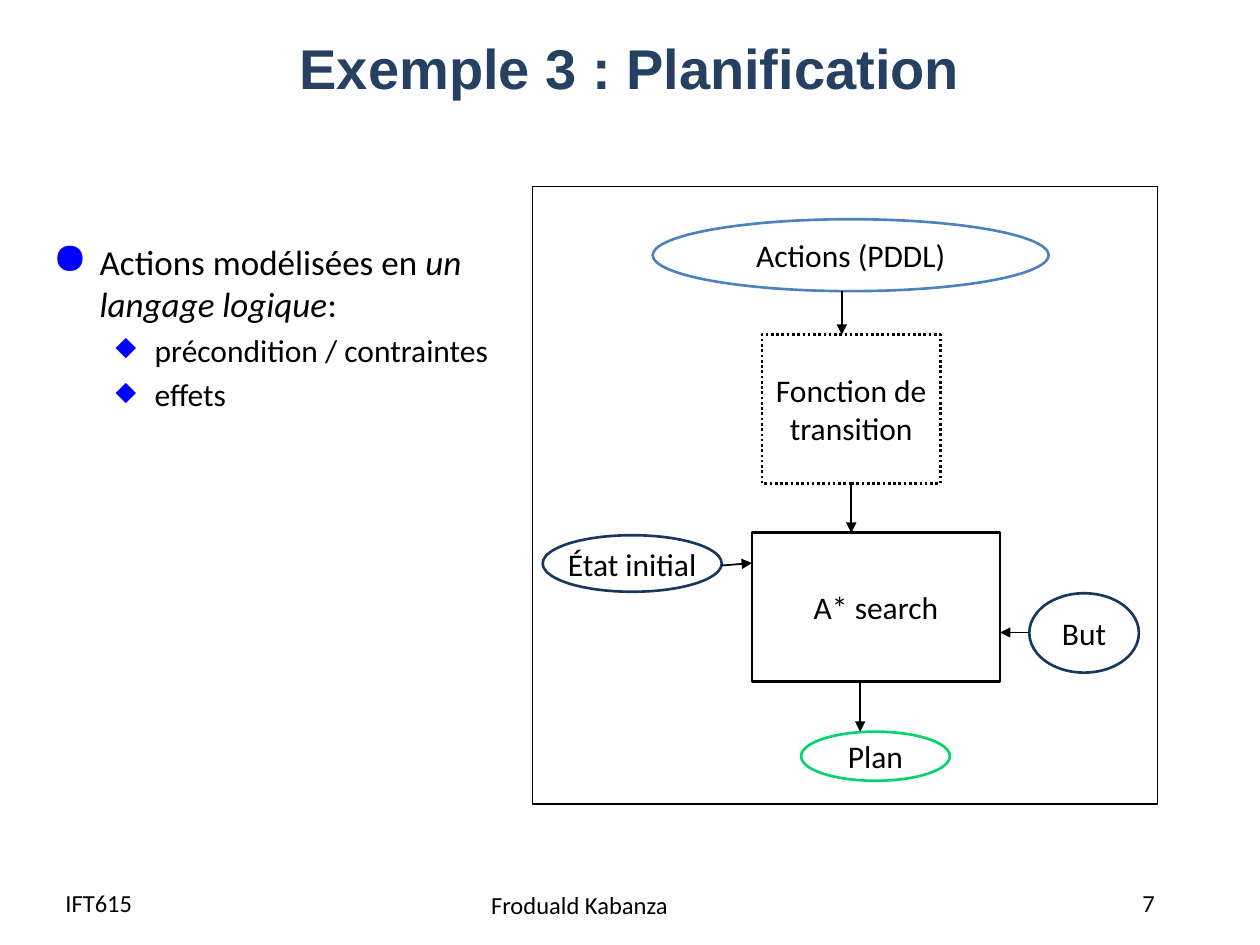
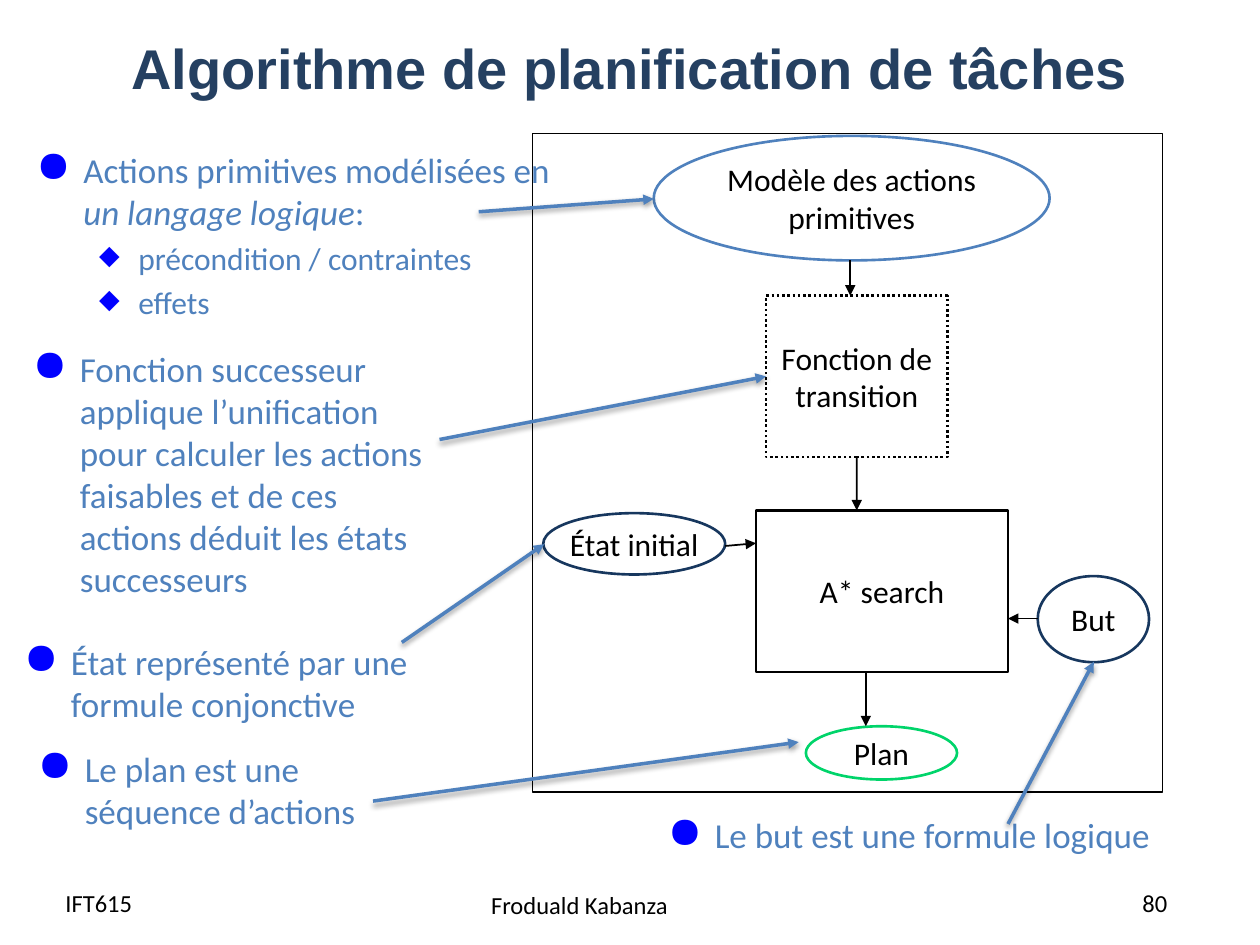
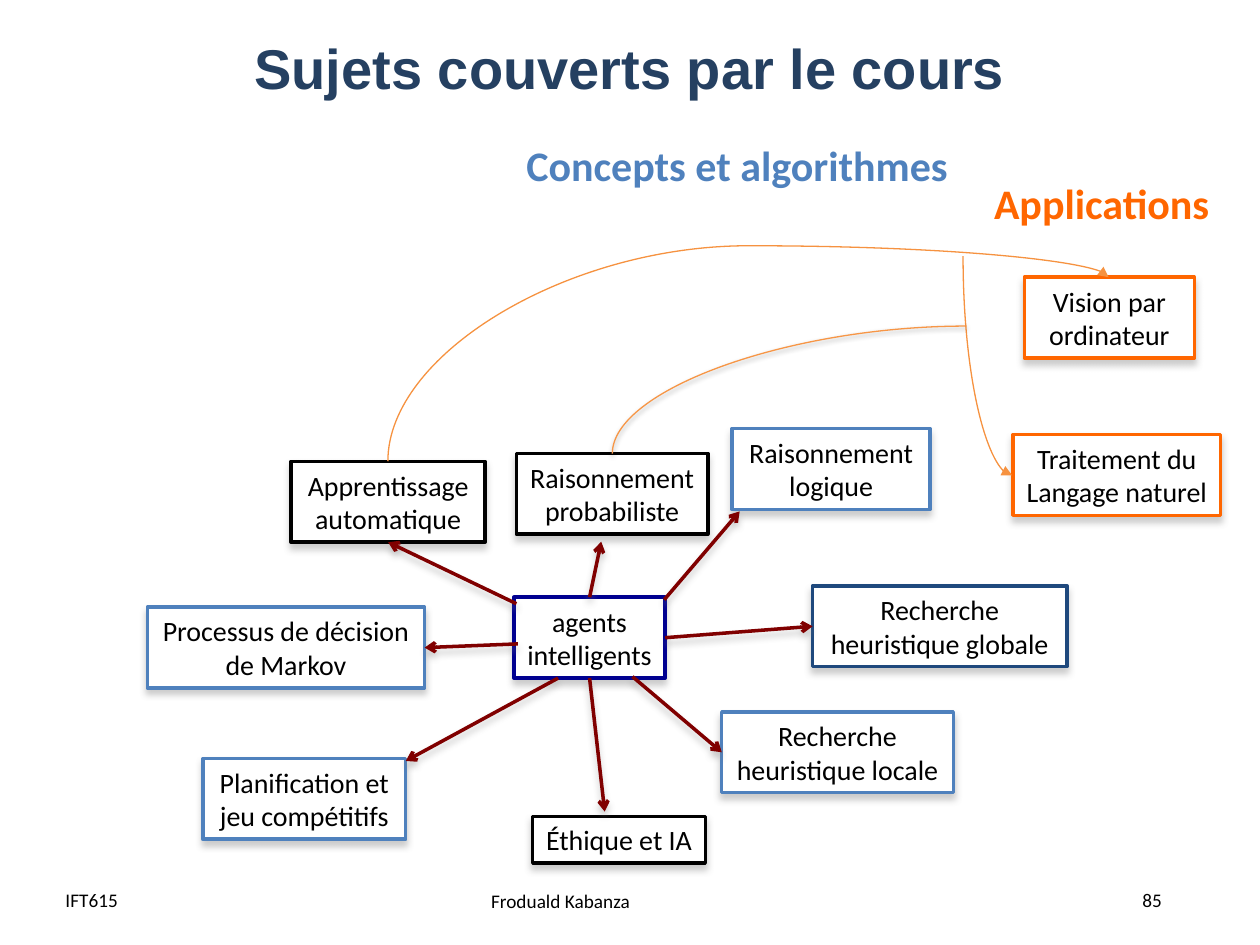
from pptx import Presentation
from pptx.dml.color import RGBColor
from pptx.enum.dml import MSO_LINE
from pptx.enum.shapes import MSO_CONNECTOR, MSO_SHAPE
from pptx.enum.text import MSO_ANCHOR, PP_ALIGN
from pptx.oxml import parse_xml
from pptx.oxml.ns import nsdecls, qn
from pptx.util import Cm, Pt

BLACK, WHITE = "000000", "FFFFFF"
NAVY, BLUE, DARK_BLUE = "254061", "4F81BD", "17375E"
GREEN, MAROON, ORANGE = "00D46A", "800000", "FF6600"
BULLET_BLUE = "0000FF"
# colour, opacity %, blur pt, distance pt
SOFT_SHADOW = (BLACK, 38, 3.1, 1.6)
GREY_SHADOW = ("808080", 40, 4, 3)
rgb = RGBColor.from_string


def write(sp, text, size, color=BLACK, font="Calibri", bold=False, centered=False, wrap=True):
    """Fill a shape: a newline starts a paragraph, underscores enclose italics."""
    tf = sp.text_frame
    tf.word_wrap = wrap
    if centered:
        tf.vertical_anchor = MSO_ANCHOR.MIDDLE
        tf.margin_left = tf.margin_right = Cm(0.15)
        tf.margin_top = tf.margin_bottom = 0
    for i, line in enumerate(text.split("\n")):
        p = tf.add_paragraph() if i else tf.paragraphs[0]
        p.alignment = PP_ALIGN.CENTER if centered else PP_ALIGN.LEFT
        for j, part in enumerate(line.split("_")):
            r = p.add_run()
            r.text = part
            r.font.name = font
            r.font.size = Pt(size)
            r.font.bold = bold
            r.font.italic = j % 2 == 1
            r.font.color.rgb = rgb(color)


def outline(sp, color, width, shadow=None, arrow=None):
    """Set the line, arrowhead and shadow of a shape or connector."""
    sp.line.color.rgb = rgb(color)
    sp.line.width = Pt(width)
    spPr = sp._element.spPr
    if arrow:
        spPr.find(qn("a:ln")).append(parse_xml(f'<a:tailEnd {nsdecls("a")} type="{arrow}"/>'))
    effect = ""
    if shadow:
        tint, opacity, blur, distance = shadow
        effect = (f'<a:outerShdw blurRad="{Pt(blur)}" dist="{Pt(distance)}" dir="5400000" rotWithShape="0">'
                  f'<a:srgbClr val="{tint}"><a:alpha val="{opacity * 1000}"/></a:srgbClr></a:outerShdw>')
    spPr.append(parse_xml(f'<a:effectLst {nsdecls("a")}>{effect}</a:effectLst>'))


prs = Presentation()
prs.slide_width, prs.slide_height = Cm(25.4), Cm(19.05)

# Titles and footers
for title, number, size in [
    ("Exemple 3 : Planification", "7", 14),
    ("Algorithme de planification de tâches", "80", 14),
    ("Sujets couverts par le cours", "85", 11),
]:
    s = prs.slides.add_slide(prs.slide_layouts[6])
    sp = s.shapes.add_textbox(Cm(1.27), Cm(0.51), Cm(22.86), Cm(1.68))
    write(sp, title, 32, NAVY, "Arial", bold=True, centered=True)
    for text, x, y, w in [("IFT615", 1.07, 17.78, 1.9),
                          ("Froduald Kabanza", 9.65, 17.81, 6.45),
                          (number, 22.78, 17.78, 1.35)]:
        sp = s.shapes.add_textbox(Cm(x), Cm(y), Cm(w), Cm(0.74))
        write(sp, text, size, wrap=False)
planning, tasks, topics = prs.slides

# Bulleted text
for s, x, y, w, h, color, text, details in [
    (planning, 0.81, 4.72, 9.75, 11.02, BLACK, "Actions modélisées en _un langage logique_:",
     ["précondition / contraintes", "effets"]),
    (tasks, 0.48, 2.87, 10.9, 3.53, BLUE, "Actions primitives modélisées en _un langage logique_:",
     ["précondition / contraintes", "effets"]),
    (tasks, 0.41, 6.88, 8.38, 5.16, BLUE, "Fonction successeur applique l’unification pour calculer "
     "les actions faisables et de ces actions déduit les états successeurs", []),
    (tasks, 0.23, 12.78, 8.66, 2.13, BLUE, "État représenté par une formule conjonctive", []),
    (tasks, 0.51, 14.94, 8.66, 2.13, BLUE, "Le plan est une séquence d’actions", []),
    (tasks, 13.21, 16.28, 10.92, 1.24, BLUE, "Le but est une formule logique", []),
]:
    sp = s.shapes.add_textbox(Cm(x), Cm(y), Cm(w), Cm(h))
    write(sp, "\n".join([text] + details), 20, color)
    for i, p in enumerate(sp.text_frame.paragraphs):
        margin, indent, percent, char = (2.06, 0.79, 85, "◆") if i else (0.95, 0.95, 125, "●")
        if i:
            p.level = 1
            p.space_before = Pt(3.6)
            for r in p.runs:
                r.font.size = Pt(18)
        pPr = p._p.get_or_add_pPr()
        pPr.set("marL", str(Cm(margin)))
        pPr.set("indent", str(-Cm(indent)))
        for xml in (f'<a:buClr {nsdecls("a")}><a:srgbClr val="{BULLET_BLUE}"/></a:buClr>',
                    f'<a:buSzPct {nsdecls("a")} val="{percent * 1000}"/>',
                    f'<a:buChar {nsdecls("a")} char="{char}"/>'):
            pPr.append(parse_xml(xml))

# Planner diagram, measured from the corner of the search box
nodes = [
    ("Fonction de\ntransition", MSO_SHAPE.RECTANGLE, BLACK, 0.2, -3.99, 3.6, 3),
    ("A* search", MSO_SHAPE.RECTANGLE, BLACK, 0, 0, 5, 3),
    ("Plan", MSO_SHAPE.OVAL, GREEN, 0.99, 4.01, 3, 0.99),
    ("But", MSO_SHAPE.OVAL, DARK_BLUE, 5.59, 1.22, 2.21, 1.6),
    ("État initial", MSO_SHAPE.OVAL, DARK_BLUE, -4.22, 0.05, 3.61, 1.14),
]
links = [(2, -0.99, 2, 0), (2.18, 3, 2.18, 4.01), (5.59, 2.01, 5, 2.01), (-0.61, 0.66, 0, 0.61)]
for s, frame, ellipse, label, entry_x, left, top, scale_x, scale_y in [
    (planning, (10.74, 3.76, 12.6, 12.45), (13.16, 4.42, 7.98, 1.45), "Actions (PDDL)",
     16.97, 15.16, 10.74, 1, 1),
    (tasks, (10.74, 2.69, 12.7, 13.28), (13.18, 2.74, 7.98, 2.51), "Modèle des actions primitives",
     17.14, 15.24, 10.29, 1.016, 1.085),
]:
    sp = s.shapes.add_shape(MSO_SHAPE.RECTANGLE, *map(Cm, frame))
    sp.fill.background()
    outline(sp, BLACK, 0.75)
    sp = s.shapes.add_shape(MSO_SHAPE.OVAL, *map(Cm, ellipse))
    sp.fill.background()
    outline(sp, BLUE, 1.5)
    write(sp, label, 18, centered=True)
    diagram = []
    for text, kind, color, x, y, w, h in nodes:
        sp = s.shapes.add_shape(kind, Cm(left + x * scale_x), Cm(top + y * scale_y),
                                Cm(w * scale_x), Cm(h * scale_y))
        sp.fill.background()
        outline(sp, color, 1.5)
        write(sp, text, 18, centered=True, wrap=False)
        diagram.append(sp)
    transition = diagram[0]
    transition.line.dash_style = MSO_LINE.ROUND_DOT
    c = s.shapes.add_connector(MSO_CONNECTOR.STRAIGHT, Cm(entry_x), Cm(ellipse[1] + ellipse[3]),
                               Cm(entry_x), transition.top)
    outline(c, BLACK, 1, arrow="triangle")
    for i, (x1, y1, x2, y2) in enumerate(links):
        c = s.shapes.add_connector(MSO_CONNECTOR.STRAIGHT,
                                   Cm(left + x1 * scale_x), Cm(top + y1 * scale_y),
                                   Cm(left + x2 * scale_x), Cm(top + y2 * scale_y))
        if i == 0:
            c.begin_connect(transition, 2)
        outline(c, BLACK, 1, arrow="triangle")

# Arrows from the explanations to the diagram
for x1, y1, x2, y2, target in [
    (9.65, 4.27, 13.18, 4.01, None),
    (8.1, 12.95, 10.97, 10.97, None),
    (8.86, 8.86, 15.44, 7.57, transition),
    (7.52, 16.15, 16.1, 14.96, None),
    (20.32, 16.61, 22.05, 13.34, None),
]:
    c = tasks.shapes.add_connector(MSO_CONNECTOR.STRAIGHT, Cm(x1), Cm(y1), Cm(x2), Cm(y2))
    if target:
        c.end_connect(target, 1)
    outline(c, BLUE, 2, SOFT_SHADOW, "triangle")

# Course topics
for text, x, y, w, color in [("Concepts et algorithmes", 10.36, 2.69, 9.09, BLUE),
                             ("Applications", 19.79, 3.45, 4.9, ORANGE)]:
    sp = topics.shapes.add_textbox(Cm(x), Cm(y), Cm(w), Cm(1.27))
    write(sp, text, 24, color, bold=True, wrap=False)

boxes = {}
for name, text, x, y, w, h, color in [
    ("agents", "agents\nintelligents", 10.36, 12.04, 3.05, 1.63, "000090"),
    ("logic", "Raisonnement\nlogique", 14.76, 8.64, 3.99, 1.63, BLUE),
    ("learning", "Apprentissage\nautomatique", 5.87, 9.3, 3.91, 1.63, BLACK),
    ("markov", "Processus de décision\nde Markov", 2.97, 12.24, 5.59, 1.63, BLUE),
    ("games", "Planification et\njeu compétitifs", 4.09, 15.29, 4.09, 1.63, BLUE),
    ("local", "Recherche heuristique locale", 14.55, 14.35, 4.67, 1.63, BLUE),
    ("global", "Recherche heuristique globale", 16.38, 11.81, 5.13, 1.63, "1F497D"),
    ("ethics", "Éthique et IA", 10.74, 16.46, 3.48, 0.94, BLACK),
    ("probability", "Raisonnement\nprobabiliste", 10.41, 9.14, 3.86, 1.63, BLACK),
    ("vision", "Vision par\nordinateur", 20.65, 5.59, 3.43, 1.63, ORANGE),
    ("language", "Traitement du\nLangage naturel", 20.42, 8.76, 4.19, 1.63, ORANGE),
]:
    sp = topics.shapes.add_shape(MSO_SHAPE.RECTANGLE, Cm(x), Cm(y), Cm(w), Cm(h))
    sp.fill.solid()
    sp.fill.fore_color.rgb = rgb(WHITE)
    outline(sp, color, 2, GREY_SHADOW)
    write(sp, text, 16, centered=True)
    boxes[name] = sp

# Arrows out of the agents box: ends, side left, box and side reached
for x1, y1, x2, y2, start, target, end in [
    (11.89, 12.04, 12.12, 10.92, 0, None, None),
    (10.41, 12.17, 7.82, 10.92, None, "learning", 2),
    (13.41, 12.85, 16.38, 12.62, 3, "global", 1),
    (12.75, 13.64, 14.55, 15.16, None, "local", 1),
    (11.89, 13.67, 12.19, 16.36, 2, None, None),
    (10.44, 12.98, 8.56, 13.06, None, "markov", 3),
    (11.25, 13.67, 8.18, 15.34, None, None, None),
    (13.39, 12.09, 14.91, 10.31, None, None, None),
]:
    c = topics.shapes.add_connector(MSO_CONNECTOR.STRAIGHT, Cm(x1), Cm(y1), Cm(x2), Cm(y2))
    if start is not None:
        c.begin_connect(boxes["agents"], start)
    if target:
        c.end_connect(boxes[target], end)
    outline(c, MAROON, 2, GREY_SHADOW, "arrow")

# Curves towards the applications
for x, y, w, h, turn, flips, preset, bend, color, shadow, arrow in [
    (13.23, 0.18, 3.71, 14.53, 90, ("flipH", "flipV"), "curvedConnector3", 117100, "F69240", None, "triangle"),
    (17.7, 6.88, 4.42, 0.99, 270, ("flipH",), "curvedConnector2", None, "F69240", None, "triangle"),
    (14.63, 4.29, 2.57, 7.14, 90, ("flipH", "flipV"), "curvedConnector2", None, "F79646", SOFT_SHADOW, None),
]:
    c = topics.shapes.add_connector(MSO_CONNECTOR.CURVE, Cm(x), Cm(y), Cm(x + w), Cm(y + h))
    xfrm = c._element.spPr.find(qn("a:xfrm"))
    xfrm.set("rot", str(turn * 60000))
    for flip in flips:
        xfrm.set(flip, "1")
    geometry = c._element.spPr.find(qn("a:prstGeom"))
    geometry.set("prst", preset)
    if bend:
        geometry.find(qn("a:avLst")).append(
            parse_xml(f'<a:gd {nsdecls("a")} name="adj1" fmla="val {bend}"/>'))
    outline(c, color, 0.75, shadow, arrow)

prs.save("out.pptx")
